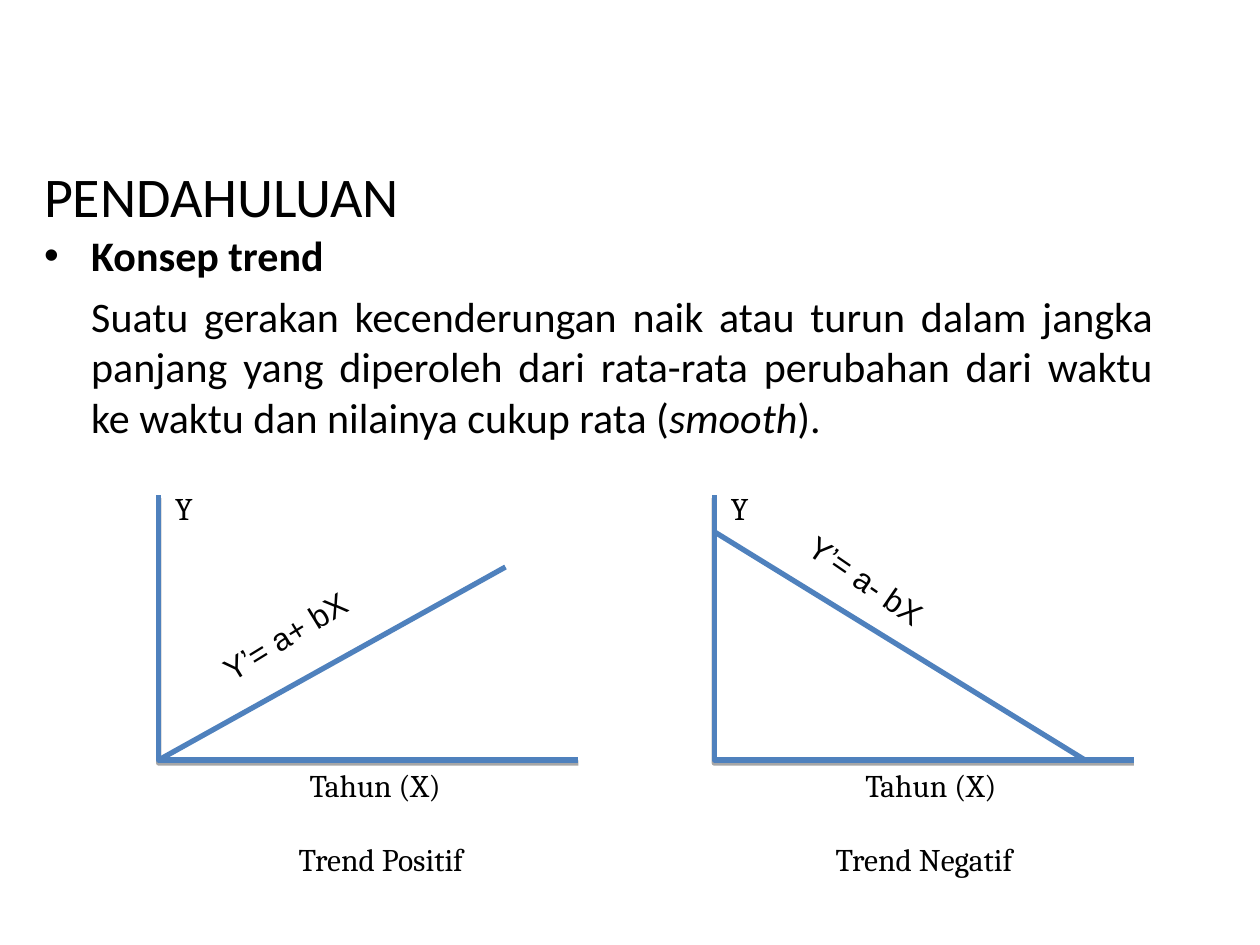
from dataclasses import dataclass

from lxml import etree
from pptx import Presentation
from pptx.dml.color import RGBColor
from pptx.enum.shapes import MSO_CONNECTOR
from pptx.enum.text import MSO_ANCHOR, MSO_AUTO_SIZE, PP_ALIGN
from pptx.oxml.ns import qn
from pptx.util import Cm, Pt

LINE = MSO_CONNECTOR.STRAIGHT
MIDDLE, TOP = MSO_ANCHOR.MIDDLE, MSO_ANCHOR.TOP
GROW, FIXED = MSO_AUTO_SIZE.SHAPE_TO_FIT_TEXT, MSO_AUTO_SIZE.NONE
LEFT, CENTER, JUSTIFY = PP_ALIGN.LEFT, PP_ALIGN.CENTER, PP_ALIGN.JUSTIFY


@dataclass(frozen=True)
class Theme:
    ink: RGBColor = RGBColor(0, 0, 0)
    blue: RGBColor = RGBColor(0x4F, 0x81, 0xBD)
    main: str = "Calibri"
    serif: str = "Cambria"
    sans: str = "Arial"
    title: Pt = Pt(32)
    body: Pt = Pt(24)
    label: Pt = Pt(18)
    stroke: Pt = Pt(3)


THEME = Theme()


@dataclass(frozen=True)
class Box:
    """Place of a text box, in centimetres and degrees."""
    x: float
    y: float
    w: float
    h: float = 1.02
    turn: float = 0


@dataclass(frozen=True)
class Graph:
    """One trend sketch: axis origin, trend line ends and its words."""
    x: float
    start: tuple[float, float]
    end: tuple[float, float]
    name: str
    name_x: float
    rule: str
    rule_box: Box


AXIS_TOP, AXIS_END, AXIS_W = 9.98, 15.32, 8.46
GRAPHS = (
    Graph(3.2, (3.2, AXIS_END), (10.19, 11.43), "Trend Positif", 3.45,
          "Y’= a+ bX", Box(3.84, 11.4, 6.78, turn=328.5)),
    Graph(14.4, (14.4, 10.72), (21.87, AXIS_END), "Trend Negatif", 14.4,
          "Y’= a- bX", Box(15.57, 12.22, 6.78, turn=34.6)),
)


def apply(item, form: dict) -> None:
    for key, value in form.items():
        setattr(item, key, value)


def add_run(para, text: str, face: str, size: Pt, **form) -> None:
    run = para.add_run()
    run.text = text
    apply(run.font, {"name": face, "size": size, **form})
    run.font.color.rgb = THEME.ink


def add_box(slide, box: Box, anchor=TOP, fit=FIXED):
    shape = slide.shapes.add_textbox(Cm(box.x), Cm(box.y), Cm(box.w), Cm(box.h))
    shape.rotation = box.turn
    apply(shape.text_frame, {"word_wrap": True, "auto_size": fit,
                             "vertical_anchor": anchor})
    return shape.text_frame


def add_label(slide, box: Box, text: str, face: str, align=CENTER) -> None:
    para = add_box(slide, box, fit=GROW).paragraphs[0]
    para.alignment = align
    add_run(para, text, face, THEME.label)


def set_stroke(shape) -> None:
    shape.line.color.rgb = THEME.blue
    shape.line.width = THEME.stroke


def add_axes(slide, x: float) -> None:
    pen = slide.shapes.build_freeform(Cm(x), Cm(AXIS_TOP))
    corner = Cm(x), Cm(AXIS_END)
    pen.add_line_segments([corner, (Cm(x + AXIS_W), Cm(AXIS_END))], close=False)
    axes = pen.convert_to_shape()
    axes.fill.background()
    set_stroke(axes)
    # Soft drop shadow straight below
    axes.shadow.inherit = False
    effects = axes._element.spPr.find(qn("a:effectLst"))
    cast = etree.SubElement(effects, qn("a:outerShdw"), blurRad="0",
                            dist=str(Pt(1.8)), dir="5400000", rotWithShape="0")
    tint = etree.SubElement(cast, qn("a:srgbClr"), val="000000")
    etree.SubElement(tint, qn("a:alpha"), val="35000")


def add_trend(slide, graph: Graph) -> None:
    ends = [Cm(value) for value in graph.start + graph.end]
    line = slide.shapes.add_connector(LINE, *ends)
    set_stroke(line)
    etree.SubElement(line._element.spPr, qn("a:effectLst"))


def add_graph(slide, graph: Graph) -> None:
    add_axes(slide, graph.x)
    add_trend(slide, graph)
    labels = (
        (Box(graph.x + 1.75, AXIS_END, 5.23), "Tahun (X)"),
        (Box(graph.x - 0.24, 9.73, 1.5), "Y"),
        (Box(graph.name_x, 16.81, AXIS_W), graph.name),
    )
    for box, text in labels:
        add_label(slide, box, text, THEME.serif)
    add_label(slide, graph.rule_box, graph.rule, THEME.sans, LEFT)


def add_body(slide) -> None:
    frame = add_box(slide, Box(0.64, 4.5, 22.86, 12))
    head, text = frame.paragraphs[0], frame.add_paragraph()
    for para, align, hang in ((head, LEFT, -0.95), (text, JUSTIFY, 0)):
        apply(para, {"alignment": align, "space_before": Pt(6)})
        props = para._p.get_or_add_pPr()
        props.set("marL", str(Cm(0.95)))
        props.set("indent", str(Cm(hang)))
    # Bullet of the heading
    props = head._p.get_or_add_pPr()
    tint = etree.SubElement(props, qn("a:buClr"))
    etree.SubElement(tint, qn("a:srgbClr"), val="000000")
    etree.SubElement(props, qn("a:buFont"), typeface=THEME.sans)
    etree.SubElement(props, qn("a:buChar"), char="•")
    add_run(head, "Konsep trend", THEME.main, THEME.body, bold=True)
    parts = (
        ("Suatu gerakan kecenderungan naik atau turun dalam jangka panjang "
         "yang diperoleh dari rata-rata perubahan dari waktu ke waktu dan "
         "nilainya cukup rata (", False),
        ("smooth", True),
        (").", False),
    )
    for words, slant in parts:
        add_run(text, words, THEME.main, THEME.body, italic=slant)


def main() -> None:
    deck = Presentation()
    apply(deck, {"slide_width": Cm(25.4), "slide_height": Cm(19.05)})
    slide = deck.slides.add_slide(deck.slide_layouts[6])

    # Title and concept
    title = add_box(slide, Box(0.64, 2.34, 22.86, 3.18), MIDDLE)
    add_run(title.paragraphs[0], "PENDAHULUAN", THEME.main, THEME.title)
    add_body(slide)

    # Trend sketches
    for graph in GRAPHS:
        add_graph(slide, graph)

    deck.save("out.pptx")


if __name__ == "__main__":
    main()
